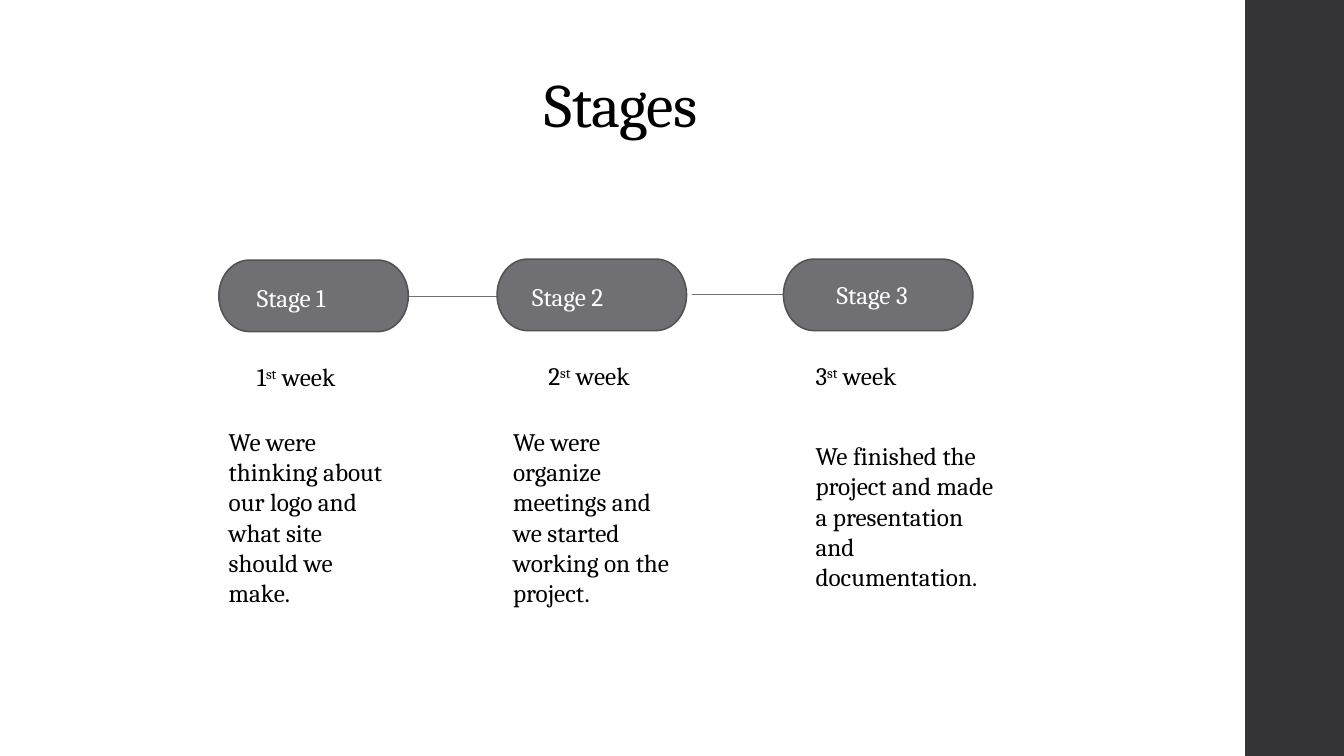
import dataclasses

import pptx
import pptx.dml.color
import pptx.enum.shapes
import pptx.enum.text
import pptx.oxml.ns
import pptx.util

PX = 9144  # EMU per px, 100 px to the inch
FONT = "Cambria"
BLACK, WHITE = "000000", "FFFFFF"
GREY, EDGE, DARK = "6F6F74", "525256", "353537"
PILL_W, PILL_H, LINE_H = 188, 71, 40

Align = pptx.enum.text.PP_ALIGN
Anchor = pptx.enum.text.MSO_ANCHOR
Shape = pptx.enum.shapes.MSO_SHAPE


@dataclasses.dataclass(frozen=True)
class Box:
    left: int
    top: int
    width: int
    height: int = LINE_H

    def emu(self) -> tuple[int, ...]:
        return tuple(n * PX for n in dataclasses.astuple(self))


@dataclasses.dataclass(frozen=True)
class Stage:
    number: int
    pill: Box
    label: Box
    week: Box
    body: Box
    story: str


@dataclasses.dataclass(frozen=True)
class Link:
    start: int
    end: int
    y: int


STAGES = [
    Stage(1, Box(217, 258, PILL_W, PILL_H), Box(245, 275, 120),
          Box(245, 354, 160), Box(217, 418, 186, 192),
          "We were thinking about our logo and what site should we make."),
    Stage(2, Box(493, 257, PILL_W, PILL_H), Box(518, 274, 120),
          Box(534, 353, 136), Box(499, 418, 177, 192),
          "We were organize meetings and we started working on the project."),
    Stage(3, Box(777, 257, PILL_W, PILL_H), Box(820, 272, 111),
          Box(799, 353, 162), Box(799, 432, 202, 192),
          "We finished the project and made a presentation and documentation."),
]
LINKS = [Link(403, 493, 294), Link(686, 777, 292)]


def rgb(code: str) -> pptx.dml.color.RGBColor:
    return pptx.dml.color.RGBColor.from_string(code)


def add_text(slide, box: Box, *parts: str, size: int = 18, color: str = BLACK,
             align=Align.LEFT, anchor=Anchor.TOP, spacing: float = 1.0,
             track: int = 0, raised: int = -1) -> None:
    """Write parts as runs; raised is the index of a superscript run and
    track is letter spacing in hundredths of a point."""
    frame = slide.shapes.add_textbox(*box.emu()).text_frame
    frame.word_wrap = True
    frame.vertical_anchor = anchor
    para = frame.paragraphs[0]
    para.alignment = align
    para.line_spacing = spacing
    for i, part in enumerate(parts):
        run = para.add_run()
        run.text = part
        run.font.name = FONT
        run.font.size = pptx.util.Pt(size)
        run.font.color.rgb = rgb(color)
        props = run._r.get_or_add_rPr()
        if track:
            props.set("spc", str(track))
        if i == raised:
            props.set("baseline", "30000")


def add_shape(slide, kind, box: Box, fill: str, edge: str = "") -> None:
    shape = slide.shapes.add_shape(kind, *box.emu())
    shape.shadow.inherit = False
    shape.fill.solid()
    shape.fill.fore_color.rgb = rgb(fill)
    if edge:
        shape.line.color.rgb = rgb(edge)
        shape.line.width = pptx.util.Pt(1.1)
    else:
        shape.line.fill.background()


def add_link(slide, link: Link) -> None:
    line = slide.shapes.add_connector(
        pptx.enum.shapes.MSO_CONNECTOR.STRAIGHT,
        link.start * PX, link.y * PX, link.end * PX, link.y * PX)
    line.line.color.rgb = rgb(GREY)
    line.line.width = pptx.util.Pt(0.75)
    effects = pptx.oxml.ns.qn("a:effectLst")
    line._element.spPr.append(line._element.makeelement(effects, {}))


def add_stage(slide, stage: Stage) -> None:
    add_shape(slide, Shape.FLOWCHART_TERMINATOR, stage.pill, GREY, EDGE)
    add_text(slide, stage.label, f"Stage {stage.number}", color=WHITE)
    add_text(slide, stage.week, str(stage.number), "st", " week", raised=1)
    add_text(slide, stage.body, stage.story)


def main() -> None:
    deck = pptx.Presentation()
    deck.slide_width, deck.slide_height = 1333 * PX, 750 * PX
    slide = deck.slides.add_slide(deck.slide_layouts[6])
    slide.background.fill.solid()
    slide.background.fill.fore_color.rgb = rgb(WHITE)

    add_shape(slide, Shape.RECTANGLE, Box(1235, 0, 98, 750), DARK)
    add_text(slide, Box(86, 0, 1060, 145), "Stages", size=44,
             align=Align.CENTER, anchor=Anchor.BOTTOM, spacing=0.9, track=-50)
    for link in LINKS:
        add_link(slide, link)
    for stage in STAGES:
        add_stage(slide, stage)
    deck.save("out.pptx")


if __name__ == "__main__":
    main()
